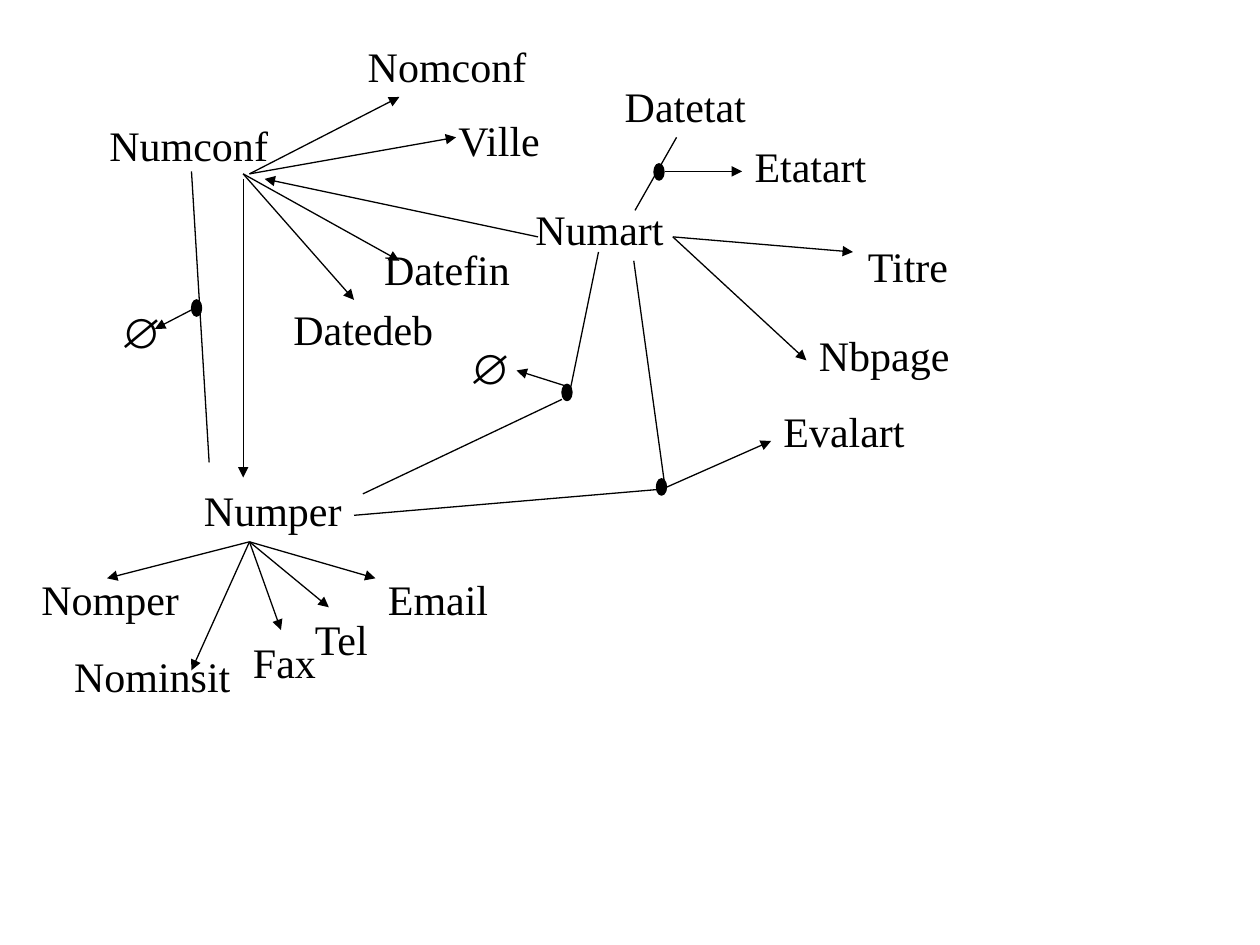
"""Build a functional dependency graph for conferences, articles and people."""
from lxml.etree import SubElement
from pptx import Presentation
from pptx.dml.color import RGBColor
from pptx.enum.shapes import MSO_CONNECTOR, MSO_SHAPE
from pptx.enum.text import MSO_AUTO_SIZE
from pptx.oxml.ns import qn
from pptx.util import Inches, Pt

COLORS = {"ink": "000000", "paper": "FFFFFF"}
INK = RGBColor.from_string(COLORS["ink"])
LINE_WIDTH = Pt(0.75)
LABEL_HEIGHT = 0.5
DOT_WIDTH, DOT_HEIGHT = 0.08, 0.13

labels = [
    ("Numconf", 0.77, 0.9, 1.46),
    ("Nomconf", 2.82, 0.27, 1.46),
    ("Ville", 3.54, 0.86, 0.86),
    ("Datefin", 2.95, 1.88, 1.2),
    ("Datedeb", 2.23, 2.36, 1.31),
    ("Numart", 4.15, 1.57, 1.22),
    ("Datetat", 4.86, 0.59, 1.16),
    ("Etatart", 5.89, 1.07, 1.09),
    ("Titre", 6.79, 1.86, 0.85),
    ("Nbpage", 6.4, 2.57, 1.25),
    ("Evalart", 6.12, 3.17, 1.16),
    ("Numper", 1.52, 3.8, 1.29),
    ("Nomper", 0.23, 4.5, 1.29),
    ("Nominsit", 0.49, 5.11, 1.44),
    ("Fax", 1.91, 5, 0.7),
    ("Tel", 2.4, 4.82, 0.64),
    ("Email", 2.98, 4.5, 1.01),
    ("∅", 0.86, 2.38, 0.46),
    ("∅", 3.63, 2.67, 0.46),
]

arrows = {
    (1.93, 1.38): [(2.81, 2.38), (3.17, 2.07)],
    (1.98, 1.38): [(3.17, 0.77), (3.62, 1.09)],
    (1.93, 1.42): [(1.93, 3.79)],
    (4.27, 1.88): [(2.1, 1.42)],
    (5.34, 1.88): [(6.77, 2), (6.4, 2.86)],
    (1.98, 4.3): [(0.85, 4.59), (1.52, 5.32), (2.23, 5), (2.61, 4.82), (2.98, 4.59)],
    (5.26, 3.88): [(6.12, 3.5)],
    (5.28, 1.36): [(5.89, 1.36)],
    (1.52, 2.46): [(1.23, 2.61)],
    (4.51, 3.07): [(4.1, 2.94)],
}

plain_lines = [
    ((4.75, 2), (4.51, 3.17)),
    ((2.88, 3.92), (4.46, 3.17)),
    ((5.03, 2.07), (5.28, 3.88)),
    ((2.81, 4.09), (5.28, 3.88)),
    ((5.04, 1.67), (5.37, 1.09)),
    ((1.66, 3.67), (1.52, 1.36)),
]

dots = [(4.46, 3.05), (5.19, 1.3), (1.52, 2.38), (5.21, 3.8)]


def add_line(page, start, end, arrow=False):
    line = page.shapes.add_connector(
        MSO_CONNECTOR.STRAIGHT, *(Inches(value) for value in start + end)
    )
    line.line.color.rgb = INK
    line.line.width = LINE_WIDTH
    properties = line._element.spPr
    if arrow:
        SubElement(properties.find(qn("a:ln")), qn("a:tailEnd"), type="triangle")
    SubElement(properties, qn("a:effectLst"))


deck = Presentation()
deck.slide_width, deck.slide_height = Inches(10), Inches(7.5)
page = deck.slides.add_slide(deck.slide_layouts[6])
page.background.fill.solid()
page.background.fill.fore_color.rgb = RGBColor.from_string(COLORS["paper"])

for text, left, top, width in labels:
    box = page.shapes.add_textbox(
        Inches(left), Inches(top), Inches(width), Inches(LABEL_HEIGHT)
    )
    frame = box.text_frame
    frame.text = text
    frame.word_wrap = False
    frame.auto_size = MSO_AUTO_SIZE.SHAPE_TO_FIT_TEXT
    font = frame.paragraphs[0].runs[0].font
    font.name = "Arial" if text == "∅" else "Times New Roman"
    font.size = Pt(24)
    font.color.rgb = INK

for start, targets in arrows.items():
    for target in targets:
        add_line(page, start, target, arrow=True)

for start, end in plain_lines:
    add_line(page, start, end)

for left, top in dots:
    dot = page.shapes.add_shape(
        MSO_SHAPE.OVAL, Inches(left), Inches(top), Inches(DOT_WIDTH), Inches(DOT_HEIGHT)
    )
    dot.shadow.inherit = False
    dot.fill.solid()
    dot.fill.fore_color.rgb = INK
    dot.line.color.rgb = INK
    dot.line.width = LINE_WIDTH

deck.save("out.pptx")
